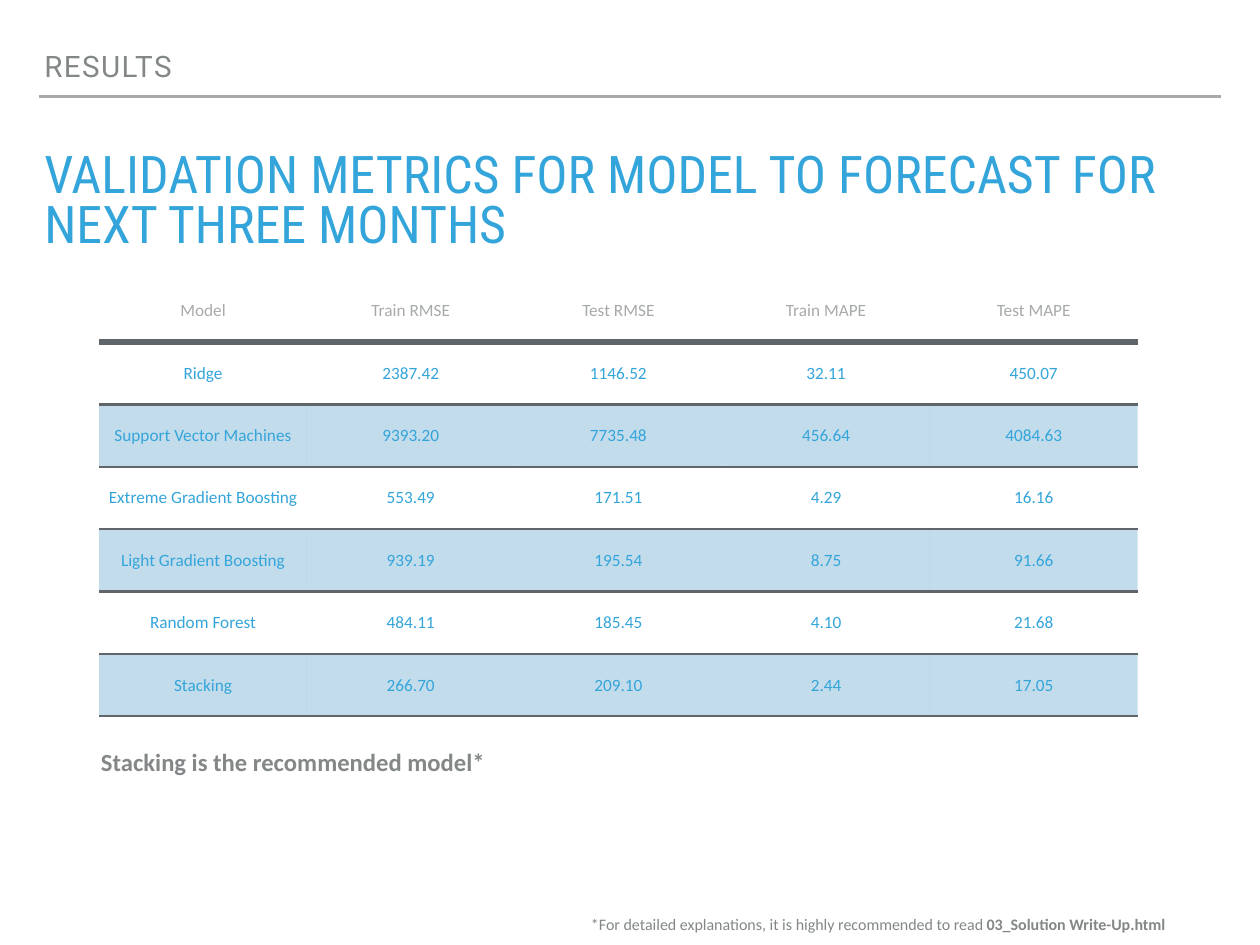
"""Build the results slide with the validation metrics of each model."""
from pptx import Presentation, util as u
from pptx.dml.color import RGBColor
from pptx.enum import shapes, text
from pptx.oxml.xmlchemy import OxmlElement

BLUE = RGBColor(0x34, 0xA5, 0xDA)
BAND = RGBColor(0x2E, 0x87, 0xBB)
GREY = RGBColor(0x83, 0x87, 0x87)
PALE = RGBColor(0xA6, 0xAA, 0xA9)
RULE = RGBColor(0x5F, 0x65, 0x68)
TOP, MID, LOW = (text.MSO_ANCHOR.TOP, text.MSO_ANCHOR.MIDDLE,
                 text.MSO_ANCHOR.BOTTOM)

METRICS = [
    ("Model", "Train RMSE", "Test RMSE", "Train MAPE", "Test MAPE"),
    ("Ridge", "2387.42", "1146.52", "32.11", "450.07"),
    ("Support Vector Machines", "9393.20", "7735.48", "456.64", "4084.63"),
    ("Extreme Gradient Boosting", "553.49", "171.51", "4.29", "16.16"),
    ("Light Gradient Boosting", "939.19", "195.54", "8.75", "91.66"),
    ("Random Forest", "484.11", "185.45", "4.10", "21.68"),
    ("Stacking", "266.70", "209.10", "2.44", "17.05"),
]
TEXTS = [
    ((0.44, 0.5, 12.22, 0.5), LOW, "Roboto", 24, GREY, 0.8, 120,
     [("RESULTS", False)]),
    ((0.44, 1.68, 13.33, 0.79), TOP, "Roboto Condensed", 42.2, BLUE, 0.8, 0,
     [("VALIDATION METRICS FOR MODEL TO FORECAST FOR NEXT THREE MONTHS",
       False)]),
    ((6.61, 10.25, 7.52, 0.36), MID, "Calibri", 13, GREY, 1.0, 0,
     [("*For detailed explanations, it is highly recommended to read ", False),
      ("03_Solution Write-Up.html", True)]),
    ((1.08, 8.36, 5.19, 0.49), MID, "Calibri", 20, GREY, 1.0, 0,
     [("Stacking is the recommended model*", True)]),
]
PAD = u.Inches(0.06)


def style(run, face, size, color, bold=False):
    """Set the font of a run."""
    font = run.font
    font.name, font.size, font.bold = face, u.Pt(size), bold
    font.color.rgb = color


def inset(item):
    """Give a text frame or cell equal margins."""
    item.margin_left = item.margin_right = PAD
    item.margin_top = item.margin_bottom = PAD


def write(slide, box, anchor, face, size, color, lead, track, parts):
    """Add a text box made of (words, bold) parts."""
    frame = slide.shapes.add_textbox(*map(u.Inches, box)).text_frame
    frame.word_wrap = True
    frame.vertical_anchor = anchor
    inset(frame)
    para = frame.paragraphs[0]
    para.line_spacing = lead
    for words, bold in parts:
        run = para.add_run()
        run.text = words
        style(run, face, size, color, bold)
        if track:
            run.font._element.set("spc", str(track))


def edge(cell, side, width):
    """Draw one cell border, or hide it when the width is 0."""
    line = OxmlElement(f"a:ln{side}")
    line.set("w", str(u.Pt(width)))
    if width:
        fill = OxmlElement("a:solidFill")
        tint = OxmlElement("a:srgbClr")
        tint.set("val", str(RULE))
        fill.append(tint)
    else:
        fill = OxmlElement("a:noFill")
    line.append(fill)
    cell._tc.get_or_add_tcPr().append(line)


def paint(cell, band):
    """Fill a cell with the pale band, or leave it clear."""
    if not band:
        cell.fill.background()
        return
    cell.fill.solid()
    cell.fill.fore_color.rgb = BAND
    alpha = OxmlElement("a:alpha")
    alpha.set("val", "29000")
    cell._tc.tcPr.find("./{*}solidFill/{*}srgbClr").append(alpha)


def tabulate(slide):
    """Add the table of metrics."""
    rows, cols = len(METRICS), len(METRICS[0])
    box = map(u.Inches, (1.12, 3.16, 11.72, 4.93))
    table = slide.shapes.add_table(rows, cols, *box).table
    table.first_row = table.horz_banding = False
    rules = [0, 5] + [2] * (rows - 1)
    for r, record in enumerate(METRICS):
        for c, words in enumerate(record):
            cell = table.cell(r, c)
            cell.vertical_anchor = MID
            inset(cell)
            para = cell.text_frame.paragraphs[0]
            para.text = words
            para.alignment = text.PP_ALIGN.CENTER
            style(para.runs[0], "Calibri", 14, BLUE if r else PALE)
            for side, width in zip("LRTB", (0, 0, rules[r], rules[r + 1])):
                edge(cell, side, width)
            paint(cell, r and r % 2 == 0)


deck = Presentation()
deck.slide_width, deck.slide_height = u.Inches(14.22), u.Inches(10.67)
slide = deck.slides.add_slide(deck.slide_layouts[6])

ends = map(u.Inches, (0.44, 1.09, 13.78, 1.09))
rule = slide.shapes.add_connector(shapes.MSO_CONNECTOR.STRAIGHT, *ends)
rule.line.color.rgb = PALE
rule.line.width = u.Pt(2)
rule._element.spPr.append(OxmlElement("a:effectLst"))

for item in TEXTS:
    write(slide, *item)
tabulate(slide)
deck.save("out.pptx")
